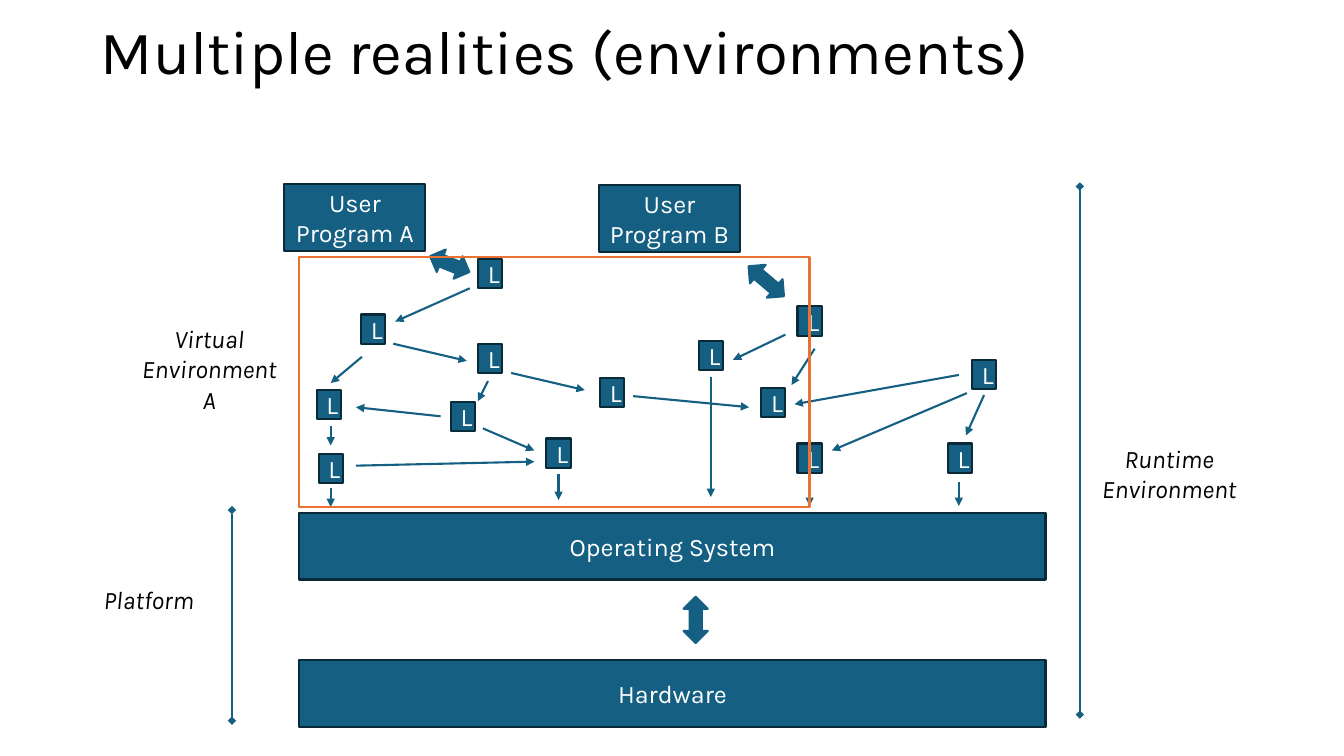
from pptx import Presentation
from pptx.dml.color import RGBColor
from pptx.enum.shapes import MSO_CONNECTOR, MSO_SHAPE
from pptx.enum.text import MSO_ANCHOR, MSO_AUTO_SIZE, PP_ALIGN
from pptx.oxml.ns import qn
from pptx.util import Inches, Pt
from lxml import etree

BLUE = RGBColor(0x15, 0x60, 0x82)
NAVY = RGBColor(0x09, 0x2A, 0x39)
ORANGE = RGBColor(0xE9, 0x71, 0x32)
WHITE = RGBColor(0xFF, 0xFF, 0xFF)
BLACK = RGBColor(0, 0, 0)

LABEL = {"name": "Karla", "size": Pt(18), "italic": True}
BLOCK = {"name": "Karla", "size": Pt(18)}
TITLE = {"name": "Karla", "size": Pt(44)}

# Offsets inside the library graph
LIBRARIES = [
    (1.74, 0.07), (0.58, 0.62), (1.74, 0.91), (1.47, 1.49), (0.14, 1.37),
    (2.42, 1.85), (0.16, 2.0), (2.95, 1.25), (4.91, 0.54), (3.93, 0.88),
    (4.55, 1.35), (4.91, 1.9), (6.64, 1.07), (6.4, 1.9),
]
CALLS = [
    (1.66, 0.36, 0.92, 0.69), (0.59, 1.04, 0.28, 1.3), (0.9, 0.91, 1.63, 1.08),
    (2.07, 1.2, 2.8, 1.37), (3.28, 1.43, 4.43, 1.54), (1.84, 1.28, 1.74, 1.48),
    (1.79, 1.75, 2.3, 1.97), (0.53, 2.12, 2.3, 2.08), (0.28, 1.73, 0.28, 1.92),
    (1.37, 1.63, 0.53, 1.54), (5.08, 0.96, 4.85, 1.32), (4.79, 0.82, 4.27, 1.07),
    (6.51, 1.22, 4.88, 1.51), (6.59, 1.4, 5.25, 1.97), (6.76, 1.42, 6.58, 1.82),
]
SYSTEM_CALLS = [  # x, top, bottom
    (0.28, 2.34, 2.53), (2.54, 2.2, 2.46), (4.05, 1.24, 2.43),
    (5.03, 2.28, 2.52), (6.51, 2.28, 2.52),
]


def write(tf, lines, style, color, align=PP_ALIGN.CENTER):
    for i, line in enumerate(lines):
        p = tf.paragraphs[0] if i == 0 else tf.add_paragraph()
        p.alignment = align
        r = p.add_run()
        r.text = line
        for key, value in style.items():
            setattr(r.font, key, value)
        r.font.color.rgb = color


def add_block(s, x, y, w, h, text="", shape=MSO_SHAPE.RECTANGLE, line=NAVY, fill=BLUE):
    sp = s.shapes.add_shape(shape, Inches(x), Inches(y), Inches(w), Inches(h))
    sp.shadow.inherit = False
    if fill is None:
        sp.fill.background()
    else:
        sp.fill.solid()
        sp.fill.fore_color.rgb = fill
    sp.line.color.rgb = line
    sp.line.width = Pt(1.5)
    if text:
        sp.text_frame.vertical_anchor = MSO_ANCHOR.MIDDLE
        write(sp.text_frame, [text], BLOCK, WHITE)
    return sp


def add_double_arrow(s, x, y, w, h, rotation):
    sp = add_block(s, x, y, w, h, shape=MSO_SHAPE.LEFT_RIGHT_ARROW, line=BLUE)
    sp.rotation = rotation


def add_line(s, x1, y1, x2, y2, tail="triangle", head=None):
    cn = s.shapes.add_connector(MSO_CONNECTOR.STRAIGHT, Inches(x1), Inches(y1),
                                Inches(x2), Inches(y2))
    cn.line.color.rgb = BLUE
    cn.line.width = Pt(1.5)
    ln = cn.line._get_or_add_ln()
    for tag, end in (("a:headEnd", head), ("a:tailEnd", tail)):
        if end:
            etree.SubElement(ln, qn(tag), type=end)
    etree.SubElement(cn._element.spPr, qn("a:effectLst"))


def add_label(s, x, y, w, h, lines, align=PP_ALIGN.CENTER, wrap=False):
    tb = s.shapes.add_textbox(Inches(x), Inches(y), Inches(w), Inches(h))
    tf = tb.text_frame
    tf.word_wrap = wrap
    tf.auto_size = MSO_AUTO_SIZE.SHAPE_TO_FIT_TEXT
    write(tf, lines, LABEL, BLACK, align)


def add_title(s, x, y, w, h, text):
    sp = s.shapes.title
    sp.left, sp.top, sp.width, sp.height = (Inches(v) for v in (x, y, w, h))
    tf = sp.text_frame
    tf.auto_size = MSO_AUTO_SIZE.NONE
    tf.vertical_anchor = MSO_ANCHOR.MIDDLE
    write(tf, [text], TITLE, BLACK, PP_ALIGN.LEFT)
    tf.paragraphs[0].line_spacing = 0.9


def add_platform(s, x, y, w, h):
    bar = 0.66
    add_block(s, x, y, w, bar, "Operating System")
    add_double_arrow(s, x + w / 2, y + h / 2 - 0.12, 0.46, 0.24, 90)
    add_block(s, x, y + h - bar, w, bar, "Hardware")


def add_programs(s, x, y):
    for dx, dy, name in ((3.12, 0.01, "B"), (0, 0, "A")):
        add_block(s, x + dx, y + dy, 1.4, 0.66, f"User Program {name}")
    add_double_arrow(s, x + 1.43, y + 0.67, 0.42, 0.24, 201.9)
    add_double_arrow(s, x + 4.55, y + 0.84, 0.46, 0.24, 220.3)


def add_library_graph(s, x, y):
    for dx, dy in LIBRARIES:
        add_block(s, x + dx, y + dy, 0.24, 0.29, "L")
    for x1, y1, x2, y2 in CALLS:
        add_line(s, x + x1, y + y1, x + x2, y + y2)
    for dx, top, bottom in SYSTEM_CALLS:
        add_line(s, x + dx, y + top, x + dx, y + bottom)


def add_span(s, x, top, bottom):
    add_line(s, x, top, x, bottom, tail="diamond", head="diamond")


def main():
    prs = Presentation()
    prs.slide_width, prs.slide_height = Inches(13.33), Inches(7.5)
    s = prs.slides.add_slide(prs.slide_layouts[5])

    add_title(s, 0.9, 0.11, 11.5, 0.87, "Multiple realities (environments)")
    add_platform(s, 2.97, 5.09, 7.4, 2.12)
    add_programs(s, 2.82, 1.83)
    add_library_graph(s, 3, 2.5)

    # Virtual environment frame
    add_block(s, 2.97, 2.55, 5.06, 2.48, line=ORANGE, fill=None)
    add_label(s, 1.29, 3.16, 1.57, 1.01, ["Virtual", "Environment", "A"])

    # Spans of the platform and the runtime environment
    add_span(s, 2.3, 5.06, 7.15)
    add_label(s, 0.93, 5.75, 1.14, 0.4, ["Platform"], PP_ALIGN.LEFT)
    add_span(s, 10.71, 1.85, 7.09)
    add_label(s, 10.78, 4.35, 1.63, 0.71, ["Runtime", "Environment"], wrap=True)

    prs.save("out.pptx")


if __name__ == "__main__":
    main()
